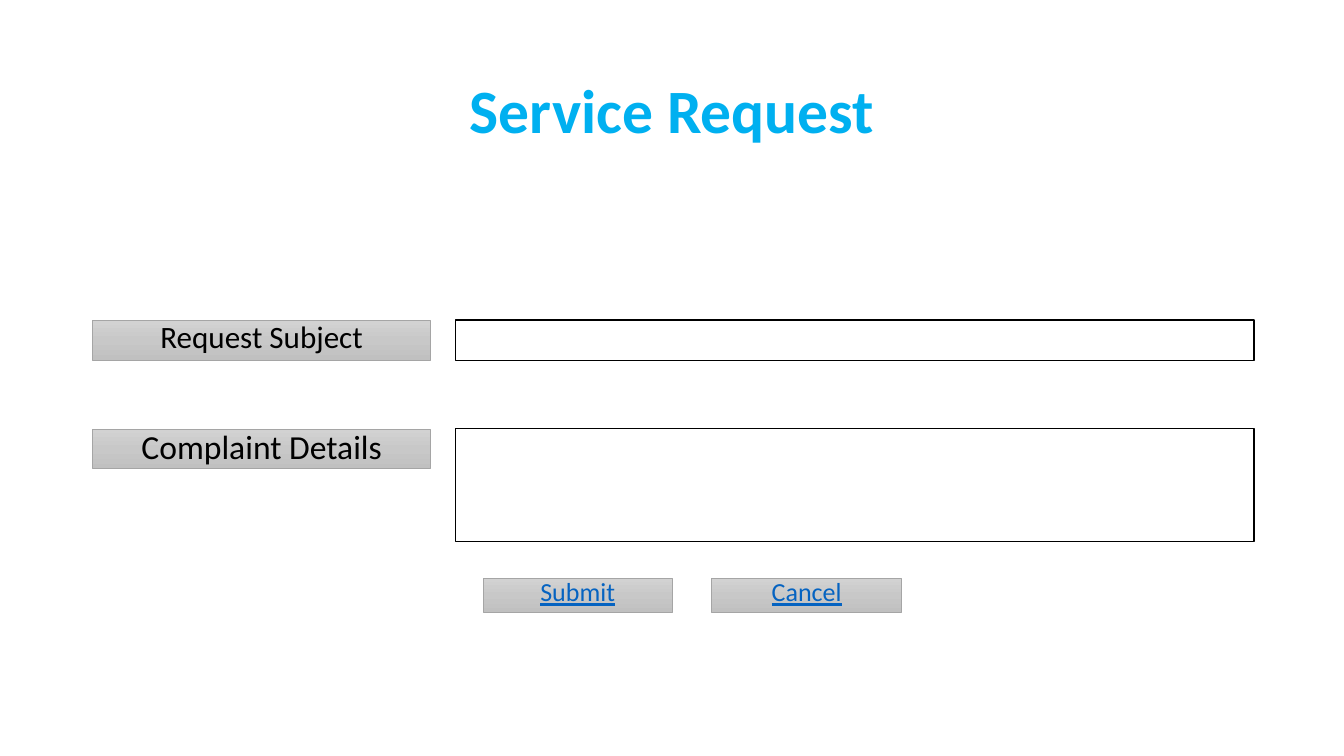
"""Build the service request form slide."""
from copy import deepcopy
from dataclasses import dataclass

from pptx import Presentation
from pptx.dml.color import RGBColor as Rgb
from pptx.enum.shapes import MSO_SHAPE as Preset
from pptx.enum.text import MSO_ANCHOR as Anchor, PP_ALIGN as Align
from pptx.oxml.ns import qn
from pptx.util import Cm, Pt


@dataclass(frozen=True)
class Theme:
    """Hold the colours and type sizes of the form."""
    font: str = "Calibri"
    title: Rgb = Rgb(0x00, 0xB0, 0xF0)
    ink: Rgb = Rgb(0x00, 0x00, 0x00)
    paper: Rgb = Rgb(0xFF, 0xFF, 0xFF)
    link: Rgb = Rgb(0x05, 0x63, 0xC1)
    edge: Rgb = Rgb(0xA5, 0xA5, 0xA5)
    shades: tuple = (Rgb(0xD2, 0xD2, 0xD2), Rgb(0xC8, 0xC8, 0xC8), Rgb(0xC0, 0xC0, 0xC0))
    title_size: float = 44
    subject_size: float = 22.2
    details_size: float = 24
    button_size: float = 18.6


THEME = Theme()
LEFT = 2.34
LABEL_WIDTH, LABEL_HEIGHT = 8.51, 0.99
FIELD_LEFT, FIELD_WIDTH = 11.48, 20.12
BUTTON_LEFT, BUTTON_TOP, BUTTON_STEP = 12.17, 14.58, 5.77
BUTTON_WIDTH, BUTTON_HEIGHT = 4.78, 0.84


def write(box, text, size, color, spacing, bold=False, underline=False):
    """Write one centred line of text into a shape."""
    frame = box.text_frame
    frame.word_wrap = True
    frame.vertical_anchor = Anchor.MIDDLE
    para = frame.paragraphs[0]
    para.alignment = Align.CENTER
    para.line_spacing = spacing
    para.space_before = Pt(0)
    span = para.add_run()
    span.text = text
    span.font.name = THEME.font
    span.font.size = Pt(size)
    span.font.bold = bold
    span.font.underline = underline
    span.font.color.rgb = color


def shade(box):
    """Fill a shape with the grey gradient from top to bottom."""
    box.fill.gradient()
    box.fill.gradient_angle = 270
    stop_list = box._element.spPr.find(qn("a:gradFill")).find(qn("a:gsLst"))
    stop_list.insert(1, deepcopy(stop_list[0]))
    for index, (stop, color) in enumerate(zip(box.fill.gradient_stops, THEME.shades)):
        stop.position = index / 2
        stop.color.rgb = color


def add_box(page, left, top, width, height, edge, weight):
    """Add an outlined rectangle without a shadow."""
    box = page.shapes.add_shape(Preset.RECTANGLE, Cm(left), Cm(top), Cm(width), Cm(height))
    box.shadow.inherit = False
    box.line.color.rgb = edge
    box.line.width = Pt(weight)
    return box


def add_field(page, top, height):
    """Add an empty input field."""
    field = add_box(page, FIELD_LEFT, top, FIELD_WIDTH, height, THEME.ink, 1)
    field.fill.solid()
    field.fill.fore_color.rgb = THEME.paper


def add_label(page, text, top, size, spacing):
    """Add a shaded label for a field."""
    label = add_box(page, LEFT, top, LABEL_WIDTH, LABEL_HEIGHT, THEME.edge, 0.5)
    shade(label)
    write(label, text, size, THEME.ink, spacing)


def add_button(page, text, left):
    """Add a shaded button with underlined text."""
    button = add_box(page, left, BUTTON_TOP, BUTTON_WIDTH, BUTTON_HEIGHT, THEME.edge, 0.5)
    shade(button)
    write(button, text, THEME.button_size, THEME.link, 0.7, underline=True)


def set_title(page, text):
    """Place and format the slide title."""
    title = page.shapes.title
    title.left, title.top = Cm(LEFT), Cm(1.02)
    title.width, title.height = Cm(29.21), Cm(3.68)
    write(title, text, THEME.title_size, THEME.title, 0.9, bold=True)


def main():
    """Build and save the slide."""
    deck = Presentation()
    deck.slide_width, deck.slide_height = Cm(33.87), Cm(19.05)
    page = deck.slides.add_slide(deck.slide_layouts.get_by_name("Title Only"))
    set_title(page, "Service Request")
    rows = (
        ("Request Subject", 8.06, 1.02, THEME.subject_size, 0.7),
        ("Complaint Details", 10.8, 2.85, THEME.details_size, 0.9),
    )
    for text, top, field_height, size, spacing in rows:
        add_label(page, text, top + 0.02, size, spacing)
        add_field(page, top, field_height)
    for index, text in enumerate(("Submit", "Cancel")):
        add_button(page, text, BUTTON_LEFT + index * BUTTON_STEP)
    deck.save("out.pptx")


if __name__ == "__main__":
    main()
